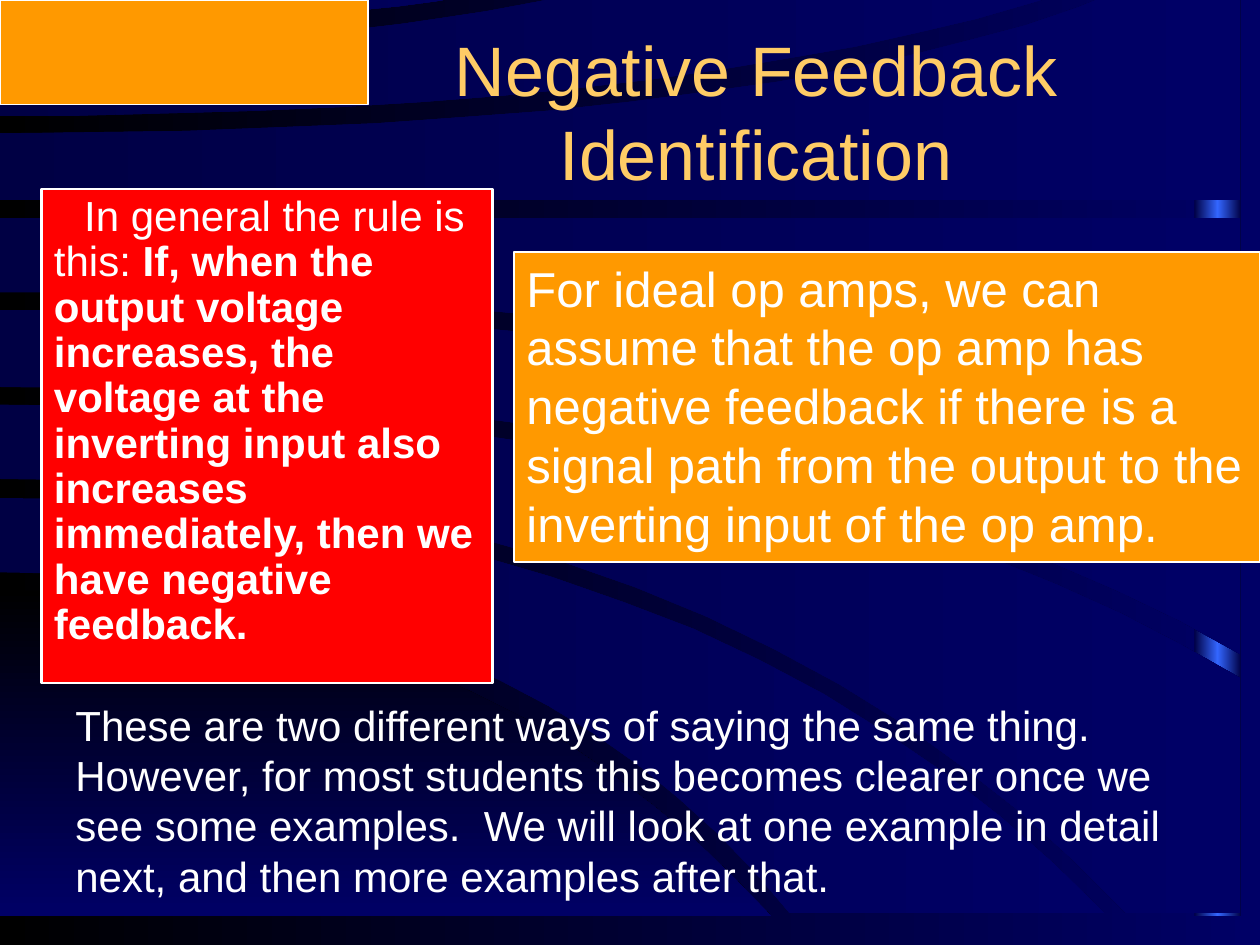
import copy
from dataclasses import dataclass

import pptx
import pptx.dml.color
import pptx.enum.shapes
import pptx.enum.text
import pptx.util

PX = 9144  # EMU per px, 100 px to the inch
LEFT, RIGHT, TOP, BOTTOM = -16, 984, -25, 725  # limits of the curved bands
CURVE_STEPS = 16


@dataclass(frozen=True)
class Theme:
    font: str = "Arial"
    black: str = "000000"
    night: str = "000044"
    navy: str = "000066"
    glow: str = "3366FF"
    orange: str = "FF9900"
    red: str = "FF0000"
    white: str = "FFFFFF"
    gold: str = "FFCC66"
    title_size: int = 40
    panel_size: int = 28
    body_size: int = 24


THEME = Theme()


def px(*lengths):
    return [pptx.util.Emu(length * PX) for length in lengths]


def rgb(value):
    return pptx.dml.color.RGBColor.from_string(value)


def sweep(start_y, bend_x, end_x, end_y):
    """Points of a curve that leaves the left limit level and bends away."""
    points = []
    for step in range(CURVE_STEPS + 1):
        t = step / CURVE_STEPS
        x = (1 - t) ** 2 * LEFT + 2 * t * (1 - t) * bend_x + t * t * end_x
        y = (1 - t * t) * start_y + t * t * end_y
        points.append((x, y))
    return points


def band_outlines():
    """Outlines of the curved bands, from back to front."""
    return [
        sweep(395, 560, 877, BOTTOM) + sweep(454, 410, 627, BOTTOM)[::-1],
        sweep(321, 625, RIGHT, 538) + [(RIGHT, BOTTOM)]
        + sweep(380, 570, 894, BOTTOM)[::-1],
        sweep(246, 542, RIGHT, 356) + sweep(307, 614, RIGHT, 519)[::-1],
        [(LEFT, 173), (RIGHT, 173)] + sweep(232, 554, RIGHT, 342)[::-1],
        sweep(106, 664, 927, TOP)
        + [(RIGHT, TOP), (RIGHT, 159), (LEFT, 159)],
        sweep(39, 308, 540, TOP) + sweep(92, 591, 902, TOP)[::-1],
        [(LEFT, TOP)] + sweep(24, 275, 485, TOP)[::-1],
    ]


def fill_gradient(fill, colors, angle=0):
    """Spread the colours evenly; the angle runs counter-clockwise."""
    fill.gradient()
    fill.gradient_angle = angle
    first_stop = fill.gradient_stops[0]._gs
    while len(fill.gradient_stops) < len(colors):
        first_stop.addnext(copy.deepcopy(first_stop))
    for i, (stop, color) in enumerate(zip(fill.gradient_stops, colors)):
        stop.position = i / (len(colors) - 1)
        stop.color.rgb = rgb(color)


def add_gradient_outline(slide, points, colors, angle=0):
    builder = slide.shapes.build_freeform(*points[0], scale=PX)
    builder.add_line_segments(points[1:], close=True)
    outline = builder.convert_to_shape()
    outline.shadow.inherit = False
    outline.line.fill.background()
    fill_gradient(outline.fill, colors, angle)


def add_rectangle(slide, box):
    rectangle = slide.shapes.add_shape(
        pptx.enum.shapes.MSO_SHAPE.RECTANGLE, *px(*box))
    rectangle.shadow.inherit = False
    return rectangle


def add_panel(slide, box, color, line_width):
    panel = add_rectangle(slide, box)
    panel.fill.solid()
    panel.fill.fore_color.rgb = rgb(color)
    panel.line.color.rgb = rgb(THEME.white)
    panel.line.width = pptx.util.Pt(line_width)
    return panel


def write(holder, runs, size, color=THEME.white, centered=False):
    """Fill a shape with one paragraph of (text, bold) runs."""
    frame = holder.text_frame
    frame.word_wrap = True
    frame.auto_size = pptx.enum.text.MSO_AUTO_SIZE.NONE
    anchors, aligns = pptx.enum.text.MSO_ANCHOR, pptx.enum.text.PP_ALIGN
    frame.vertical_anchor = anchors.MIDDLE if centered else anchors.TOP
    paragraph = frame.paragraphs[0]
    paragraph.alignment = aligns.CENTER if centered else aligns.LEFT
    for text, bold in runs:
        run = paragraph.add_run()
        run.text = text
        run.font.name = THEME.font
        run.font.size = pptx.util.Pt(size)
        run.font.bold = bold
        run.font.color.rgb = rgb(color)
    return paragraph


def add_backdrop(slide):
    fill_gradient(slide.background.fill, [THEME.black, THEME.navy])
    glow_bar = add_rectangle(slide, (948, -23, 37, 750))
    glow_bar.line.fill.background()
    fill_gradient(glow_bar.fill, [THEME.night, THEME.glow, THEME.night])
    corner_hill = [(LEFT, 727)] + sweep(468, 377, 612, 727)
    add_gradient_outline(slide, corner_hill, [THEME.black, THEME.navy], 270)
    for outline in band_outlines():
        add_gradient_outline(slide, outline, [THEME.night, THEME.navy])


def main():
    presentation = pptx.Presentation()
    presentation.slide_width, presentation.slide_height = px(1000, 750)
    slide = presentation.slides.add_slide(presentation.slide_layouts[5])

    # Background curves and corner block
    add_backdrop(slide)
    add_panel(slide, (0, 0, 292, 83), THEME.orange, 1)

    # General rule
    rule_panel = add_panel(slide, (33, 150, 358, 392), THEME.red, 1.5)
    rule = write(rule_panel, [
        ("In general the rule is this: ", False),
        ("If, when the output voltage increases, the voltage at the inverting "
         "input also increases immediately, then we have negative feedback.",
         True)], THEME.body_size)
    rule.line_spacing = 0.9
    rule._p.get_or_add_pPr().set("indent", str(24 * PX))

    # Rule for ideal op amps
    ideal_panel = add_panel(slide, (408, 200, 592, 246), THEME.orange, 1.5)
    write(ideal_panel, [
        ("For ideal op amps, we can assume that the op amp has negative "
         "feedback if there is a signal path from the output to the "
         "inverting input of the op amp.", False)], THEME.panel_size)

    # Closing remark
    remark = slide.shapes.add_textbox(*px(50, 550, 902, 170))
    write(remark, [
        ("These are two different ways of saying the same thing.  However, "
         "for most students this becomes clearer once we see some examples.  "
         "We will look at one example in detail next, and then more examples "
         "after that.", False)], THEME.body_size)

    # Title, brought in front of the background
    title = slide.shapes.title
    title.left, title.top, title.width, title.height = px(275, 25, 650, 125)
    write(title, [("Negative Feedback Identification", False)],
          THEME.title_size, THEME.gold, centered=True)
    title.element.getparent().append(title.element)

    presentation.save("out.pptx")


if __name__ == "__main__":
    main()
